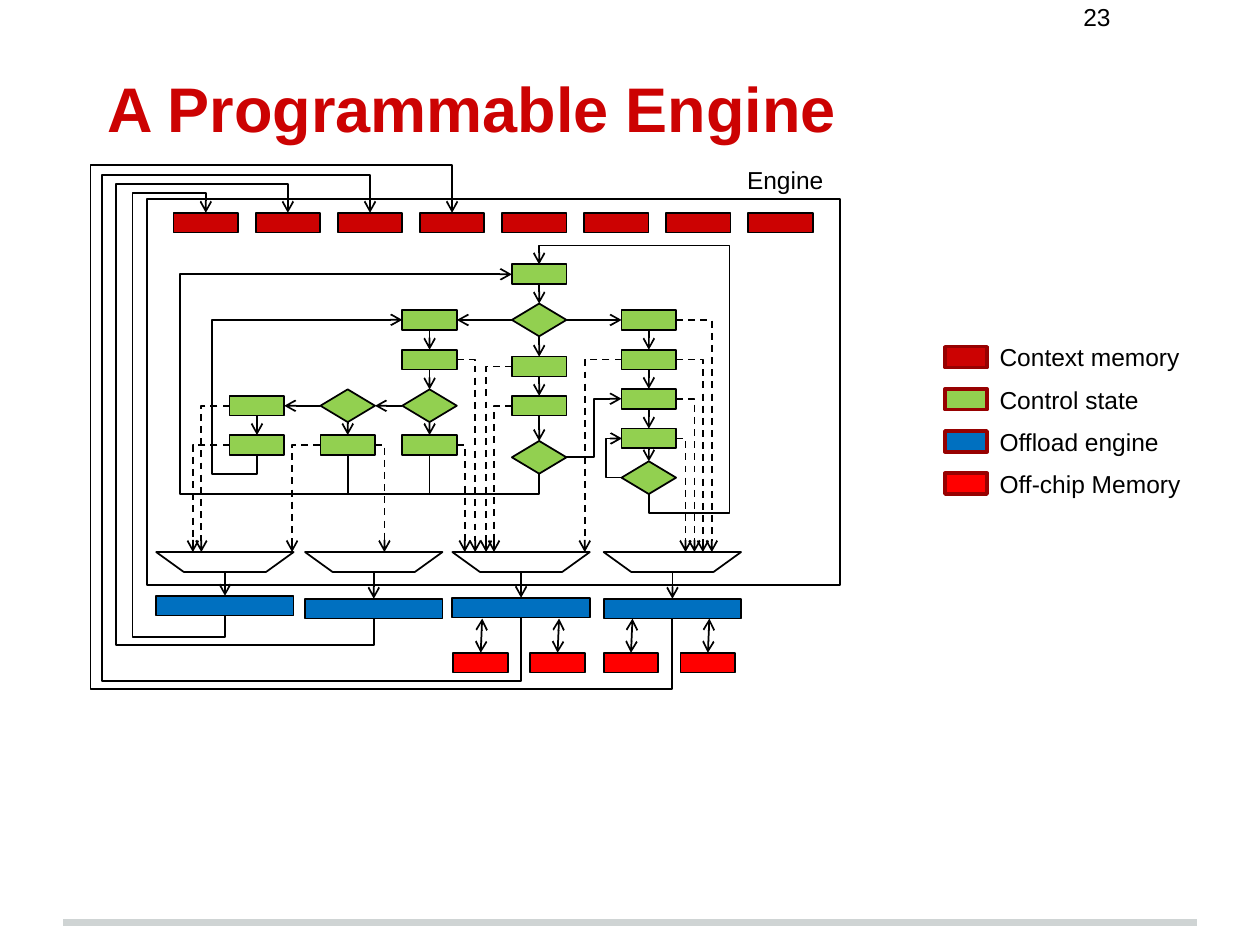
from dataclasses import dataclass
from typing import Optional, Union

import lxml.etree
import pptx
import pptx.dml.color
import pptx.enum.dml
import pptx.enum.shapes
import pptx.enum.text
import pptx.oxml.ns
import pptx.util

Cm = pptx.util.Cm
Pt = pptx.util.Pt
RGBColor = pptx.dml.color.RGBColor
SHAPE = pptx.enum.shapes.MSO_SHAPE
CONNECTOR = pptx.enum.shapes.MSO_CONNECTOR
qn = pptx.oxml.ns.qn

BLACK = RGBColor(0x00, 0x00, 0x00)
WHITE = RGBColor(0xFF, 0xFF, 0xFF)
CRIMSON = RGBColor(0xCC, 0x02, 0x02)
MAROON = RGBColor(0x97, 0x01, 0x01)
GREEN = RGBColor(0x92, 0xD0, 0x50)
BLUE = RGBColor(0x00, 0x70, 0xC0)
RED = RGBColor(0xFF, 0x00, 0x00)
GREY = RGBColor(0xCF, 0xD4, 0xD4)

TOP, LEFT, BOTTOM, RIGHT = range(4)
BOX_HEIGHT = 0.4
STATE_WIDTH = 1.1
DECISION_HEIGHT = 0.66
UNIT_WIDTH = 2.77
SELECTOR_TOP = 11.13
MERGE_Y = 9.96
BODY = dict(size=Pt(14), name="Arial")
HEADING = dict(size=Pt(36), name="Arial", bold=True)


@dataclass
class Port:
    shape: object
    side: int

    def point(self) -> tuple:
        s = self.shape
        middle_x, middle_y = s.left + s.width // 2, s.top + s.height // 2
        return ((middle_x, s.top), (s.left, middle_y),
                (middle_x, s.top + s.height), (s.left + s.width, middle_y))[self.side]


@dataclass
class Spot:
    x: float
    y: float

    def point(self) -> tuple:
        return Cm(self.x), Cm(self.y)


@dataclass
class State:
    name: str
    x: float
    y: float
    decision: bool = False


@dataclass
class Unit:
    left: float
    top: float
    turns: list


End = Union[Port, Spot]


def draw_box(slide, left: float, top: float, width: float, height: float, fill: RGBColor,
             kind=SHAPE.RECTANGLE, border: RGBColor = BLACK, weight: float = 1):
    box = slide.shapes.add_shape(kind, Cm(left), Cm(top), Cm(width), Cm(height))
    box.shadow.inherit = False
    box.fill.solid()
    box.fill.fore_color.rgb = fill
    box.line.color.rgb = border
    box.line.width = Pt(weight)
    return box


def draw_text(slide, words: str, left: float, top: float, width: float, height: float,
              font: dict, color: RGBColor = BLACK, **frame_format):
    box = slide.shapes.add_textbox(Cm(left), Cm(top), Cm(width), Cm(height))
    frame = box.text_frame
    for key, value in dict(word_wrap=True, **frame_format).items():
        setattr(frame, key, value)
    run = frame.paragraphs[0].add_run()
    run.text = words
    for key, value in font.items():
        setattr(run.font, key, value)
    run.font.color.rgb = color
    return box


def draw_link(slide, start: End, end: End, heading: Optional[str] = None, turns=(),
              tail: bool = True, head: bool = False, dashed: bool = False,
              color: RGBColor = BLACK, weight: float = 1) -> None:
    kind = CONNECTOR.ELBOW if heading else CONNECTOR.STRAIGHT
    link = slide.shapes.add_connector(kind, *start.point(), *end.point())
    link.line.color.rgb = color
    link.line.width = Pt(weight)
    if dashed:
        link.line.dash_style = pptx.enum.dml.MSO_LINE.DASH
    line = link.line._get_or_add_ln()
    for tag, wanted in (("a:headEnd", head), ("a:tailEnd", tail)):
        if wanted:
            lxml.etree.SubElement(line, qn(tag), type="arrow")
    lxml.etree.SubElement(link._element.spPr, qn("a:effectLst"))
    if isinstance(start, Port):
        link.begin_connect(start.shape, start.side)
    if isinstance(end, Port):
        link.end_connect(end.shape, end.side)
    if heading:
        bend(link, start.point(), end.point(), heading, turns)


def bend(link, start: tuple, end: tuple, heading: str, turns) -> None:
    spans = [b - a or Cm(0.01) for a, b in zip(start, end)]
    first = 1 if heading == "v" else 0
    along, across = spans[first], spans[1 - first]
    link.width, link.height = abs(along), abs(across)
    link.left = start[0] + (spans[0] - link.width) // 2
    link.top = start[1] + (spans[1] - link.height) // 2
    frame = link._element.spPr.find(qn("a:xfrm"))
    frame.set("rot", "5400000" if first else "0")
    frame.set("flipH", str(int(along < 0)))
    frame.set("flipV", str(int((across > 0) if first else (across < 0))))
    geometry = link._element.spPr.find(qn("a:prstGeom"))
    geometry.set("prst", f"bentConnector{len(turns) + 2}")
    guides = geometry.find(qn("a:avLst"))
    for i, turn in enumerate(turns):
        axis = (first + i) % 2
        share = round((Cm(turn) - start[axis]) / spans[axis] * 100000)
        lxml.etree.SubElement(guides, qn("a:gd"), name=f"adj{i + 1}" if len(turns) > 1 else "adj1",
                              fmla=f"val {share}")


OUTER, SPLIT, INNER, CENTRE, SIDE = 5.18, 7.01, 8.66, 10.87, 13.08
STATES = [
    State("root", CENTRE, 5.53), State("branch", CENTRE, 6.45, True),
    State("centre 1", CENTRE, 7.39), State("centre 2", CENTRE, 8.18),
    State("centre test", CENTRE, 9.22, True),
    State("inner 1", INNER, 6.45), State("inner 2", INNER, 7.25),
    State("inner test", INNER, 8.18, True), State("inner 3", INNER, 8.97),
    State("split test", SPLIT, 8.18, True), State("split 1", SPLIT, 8.97),
    State("outer 1", OUTER, 8.18), State("outer 2", OUTER, 8.97),
    State("side 1", SIDE, 6.45), State("side 2", SIDE, 7.25), State("side 3", SIDE, 8.04),
    State("side 4", SIDE, 8.84), State("side test", SIDE, 9.63, True),
]
CHAINS = [
    (BOTTOM, TOP, ["root", "branch", "centre 1", "centre 2", "centre test"]),
    (BOTTOM, TOP, ["inner 1", "inner 2", "inner test", "inner 3"]),
    (BOTTOM, TOP, ["split test", "split 1"]),
    (BOTTOM, TOP, ["outer 1", "outer 2"]),
    (BOTTOM, TOP, ["side 1", "side 2", "side 3", "side 4", "side test"]),
    (LEFT, RIGHT, ["branch", "inner 1"]),
    (RIGHT, LEFT, ["branch", "side 1"]),
    (LEFT, RIGHT, ["inner test", "split test", "outer 1"]),
]
LOOPS = [
    ("outer 2", BOTTOM, "inner 1", LEFT, "v", [9.55, 4.27]),
    ("centre test", BOTTOM, "root", LEFT, "v", [MERGE_Y, 3.63]),
    ("side test", BOTTOM, "root", TOP, "v", [10.34, 14.71, 4.95]),
    ("side test", LEFT, "side 4", LEFT, "h", [12.22]),
    ("centre test", RIGHT, "side 3", LEFT, "h", [11.97]),
]
REQUESTS = [
    ("side 1", RIGHT, 14.35), ("side 2", RIGHT, 14.17), ("side 3", RIGHT, 14.0),
    ("side 4", RIGHT, 13.82), ("side 2", LEFT, 11.79), ("centre 1", LEFT, 9.8),
    ("centre 2", LEFT, 9.96), ("inner 2", RIGHT, 9.58), ("inner 3", RIGHT, 9.37),
    ("split 1", RIGHT, 7.75), ("split 1", LEFT, 5.89), ("outer 1", LEFT, 4.06),
    ("outer 2", LEFT, 3.89),
]
UNITS = [
    Unit(3.15, 12.01, [12.85, 2.67, 3.89]), Unit(6.15, 12.07, [13.0, 2.34, 3.71]),
    Unit(9.12, 12.05, [13.72, 2.06, 3.53]), Unit(12.17, 12.07, [13.89, 1.83, 3.33]),
]
LEGEND = [("Context memory", CRIMSON, 6.35), ("Control state", GREEN, 3.81),
          ("Offload engine", BLUE, 4.45), ("Off-chip Memory", RED, 4.45)]


def draw_control(slide) -> None:
    states = {}
    for s in STATES:
        height = DECISION_HEIGHT if s.decision else BOX_HEIGHT
        kind = SHAPE.FLOWCHART_DECISION if s.decision else SHAPE.RECTANGLE
        states[s.name] = draw_box(slide, s.x - STATE_WIDTH / 2, s.y - height / 2,
                                  STATE_WIDTH, height, GREEN, kind)
    for leave, enter, names in CHAINS:
        for a, b in zip(names, names[1:]):
            draw_link(slide, Port(states[a], leave), Port(states[b], enter))
    for a, leave, b, enter, heading, turns in LOOPS:
        draw_link(slide, Port(states[a], leave), Port(states[b], enter), heading, turns)
    for name, x in (("split 1", SPLIT), ("inner 3", INNER)):
        draw_link(slide, Port(states[name], BOTTOM), Spot(x, MERGE_Y), tail=False)
    for name, side, x in REQUESTS:
        draw_link(slide, Port(states[name], side), Spot(x, SELECTOR_TOP), "h", dashed=True)


def draw_memories(slide) -> None:
    contexts = [draw_box(slide, 3.5 + 1.655 * i, 4.29, 1.3, BOX_HEIGHT, CRIMSON)
                for i in range(8)]
    for unit, context in zip(UNITS, contexts):
        selector = draw_box(slide, unit.left, SELECTOR_TOP, UNIT_WIDTH, BOX_HEIGHT, WHITE,
                            SHAPE.FLOWCHART_MANUAL_OPERATION)
        offload = draw_box(slide, unit.left, unit.top, UNIT_WIDTH, BOX_HEIGHT, BLUE)
        draw_link(slide, Port(selector, BOTTOM), Port(offload, TOP))
        draw_link(slide, Port(offload, BOTTOM), Port(context, TOP), "v", unit.turns)
    for left in (9.14, 10.69, 12.17, 13.72):
        chip = draw_box(slide, left, 13.16, STATE_WIDTH, BOX_HEIGHT, RED)
        draw_link(slide, Spot(left + 0.58, 12.47), Port(chip, TOP), head=True)


def main() -> None:
    deck = pptx.Presentation()
    deck.slide_width, deck.slide_height = Cm(25.4), Cm(19.05)
    slide = deck.slides.add_slide(deck.slide_layouts[6])
    draw_link(slide, Spot(1.27, 18.59), Spot(24.13, 18.59), tail=False, color=GREY, weight=4)
    draw_text(slide, "23", 21.59, -0.08, 2.97, 0.91, BODY)
    for row, (label, color, width) in enumerate(LEGEND):
        draw_box(slide, 19.05, 6.99 + 0.85 * row, 0.85, 0.42, color, border=MAROON, weight=2)
        draw_text(slide, label, 19.9, 6.78 + 0.85 * row, width, 0.86, BODY)
    draw_box(slide, 2.97, 4.02, 13.97, 7.77, WHITE)
    draw_control(slide)
    draw_memories(slide)
    draw_text(slide, "Engine", 14.81, 3.2, 3.18, 1.02, BODY)
    title = draw_text(slide, "A Programmable Engine", 1.27, 0.84, 22.86, 2.34, HEADING, CRIMSON,
                      vertical_anchor=pptx.enum.text.MSO_ANCHOR.BOTTOM,
                      margin_top=Cm(0.25), margin_bottom=Cm(0.25))
    title.text_frame.paragraphs[0]._p.get_or_add_pPr().set("indent", str(Cm(0.64)))
    deck.save("out.pptx")


if __name__ == "__main__":
    main()
